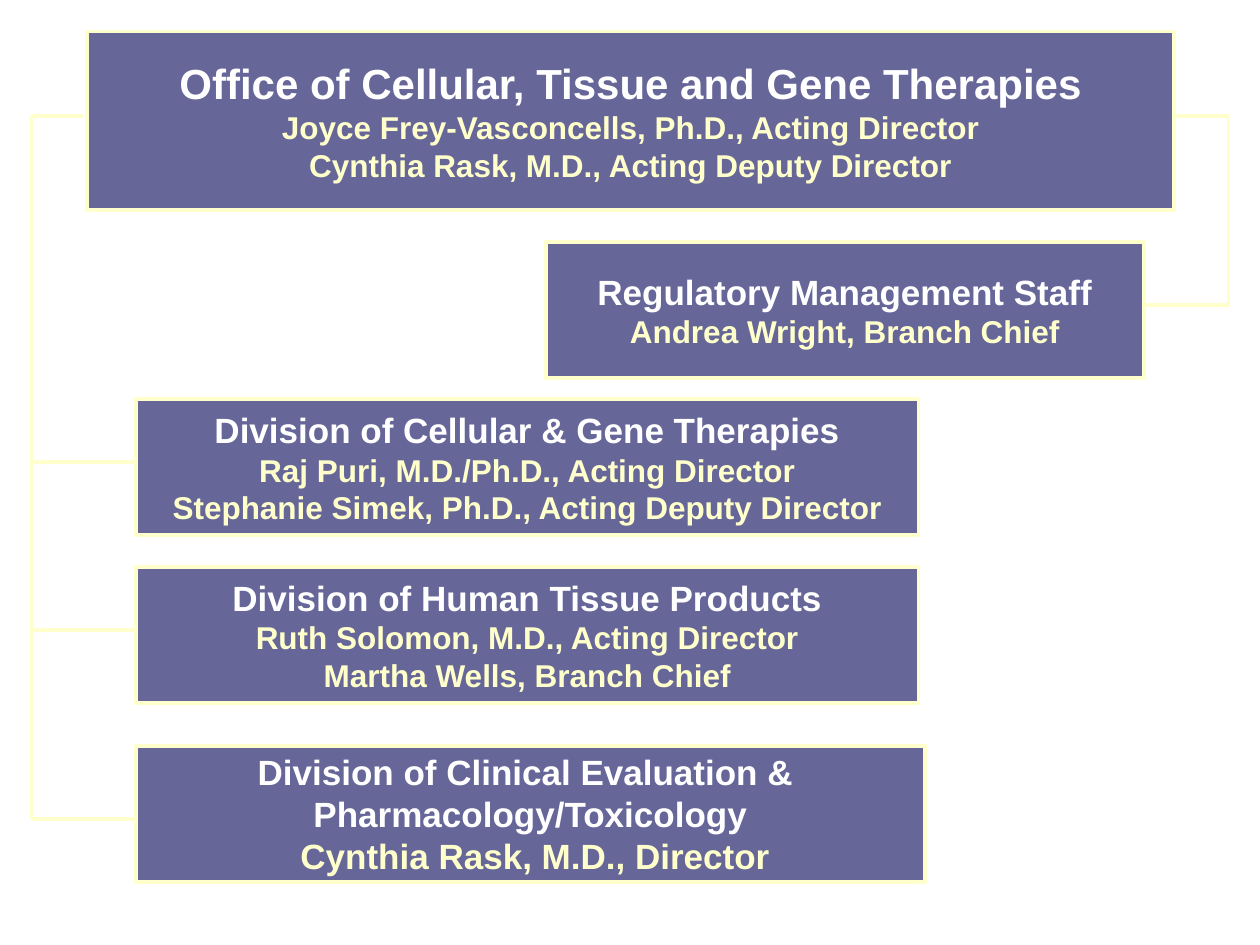
import pptx
import pptx.dml.color
import pptx.enum.shapes
import pptx.enum.text
import pptx.util
from lxml import etree
from pptx.util import Inches

BOX_FILL = "666699"
CREAM = "FFFFCC"
WHITE = "FFFFFF"
LINE_WIDTH = 2.25
LEFT_RAIL = 0.25
RIGHT_RAIL = 9.75
OFFICE_MIDDLE = 0.92
STAFF_MIDDLE = 2.42
DIVISION_LEFT = 1.08
BOX_HEIGHT = 1.08


def color(hex_string):
    return pptx.dml.color.RGBColor.from_string(hex_string)


def style_line(line):
    line.color.rgb = color(CREAM)
    line.width = pptx.util.Pt(LINE_WIDTH)


def add_text(shape, lines):
    frame = shape.text_frame
    frame.auto_size = pptx.enum.text.MSO_AUTO_SIZE.NONE
    frame.word_wrap = False
    frame.vertical_anchor = pptx.enum.text.MSO_ANCHOR.MIDDLE
    for index, (text, size, text_color) in enumerate(lines):
        paragraph = frame.add_paragraph() if index else frame.paragraphs[0]
        paragraph.alignment = pptx.enum.text.PP_ALIGN.CENTER
        run = paragraph.add_run()
        run.text = text
        run.font.name = "Arial"
        run.font.size = pptx.util.Pt(size)
        run.font.bold = True
        run.font.color.rgb = color(text_color)


def format_box(shape, lines):
    shape.fill.solid()
    shape.fill.fore_color.rgb = color(BOX_FILL)
    style_line(shape.line)
    add_text(shape, lines)


def format_title(slide, left, top, width, height, lines):
    title = slide.shapes.title
    title.left, title.top = Inches(left), Inches(top)
    title.width, title.height = Inches(width), Inches(height)
    format_box(title, lines)


def add_box(slide, left, top, width, lines):
    shape = slide.shapes.add_shape(
        pptx.enum.shapes.MSO_SHAPE.RECTANGLE,
        Inches(left), Inches(top), Inches(width), Inches(BOX_HEIGHT),
    )
    shape.shadow.inherit = False
    format_box(shape, lines)


def add_line(slide, start_x, start_y, end_x, end_y):
    connector = slide.shapes.add_connector(
        pptx.enum.shapes.MSO_CONNECTOR.STRAIGHT,
        Inches(start_x), Inches(start_y), Inches(end_x), Inches(end_y),
    )
    style_line(connector.line)
    etree.SubElement(
        connector._element.spPr, pptx.oxml.ns.qn("a:effectLst")
    )


def main():
    presentation = pptx.Presentation()
    presentation.slide_width = Inches(10)
    presentation.slide_height = Inches(7.5)
    slide = presentation.slides.add_slide(presentation.slide_layouts[5])

    format_title(slide, 0.69, 0.25, 8.63, 1.42, [
        ("Office of Cellular, Tissue and Gene Therapies", 24, WHITE),
        ("Joyce Frey-Vasconcells, Ph.D., Acting Director", 18, CREAM),
        ("Cynthia Rask, M.D., Acting Deputy Director", 18, CREAM),
    ])
    add_box(slide, 4.33, 1.92, 4.75, [
        ("Regulatory Management Staff", 20, WHITE),
        ("Andrea Wright, Branch Chief", 18, CREAM),
    ])

    divisions = [
        (3.17, 6.21, 3.67, [
            ("Division of Cellular & Gene Therapies", 20, WHITE),
            ("Raj Puri, M.D./Ph.D., Acting Director", 18, CREAM),
            ("Stephanie Simek, Ph.D., Acting Deputy Director", 18, CREAM),
        ]),
        (4.5, 6.21, 5, [
            ("Division of Human Tissue Products", 20, WHITE),
            ("Ruth Solomon, M.D., Acting Director", 18, CREAM),
            ("Martha Wells, Branch Chief", 18, CREAM),
        ]),
        (5.92, 6.26, 6.5, [
            ("Division of Clinical Evaluation & ", 20, WHITE),
            ("Pharmacology/Toxicology", 20, WHITE),
            (" Cynthia Rask, M.D., Director", 20, CREAM),
        ]),
    ]
    for top, width, branch_y, lines in divisions:
        add_box(slide, DIVISION_LEFT, top, width, lines)
        add_line(slide, LEFT_RAIL, branch_y, DIVISION_LEFT, branch_y)

    last_branch = divisions[-1][2]
    add_line(slide, LEFT_RAIL, OFFICE_MIDDLE, 0.67, OFFICE_MIDDLE)
    add_line(slide, LEFT_RAIL, OFFICE_MIDDLE, LEFT_RAIL, last_branch)
    add_line(slide, 9.33, OFFICE_MIDDLE, RIGHT_RAIL, OFFICE_MIDDLE)
    add_line(slide, 9.08, STAFF_MIDDLE, RIGHT_RAIL, STAFF_MIDDLE)
    add_line(slide, RIGHT_RAIL, OFFICE_MIDDLE, RIGHT_RAIL, STAFF_MIDDLE)

    presentation.save("out.pptx")


if __name__ == "__main__":
    main()
